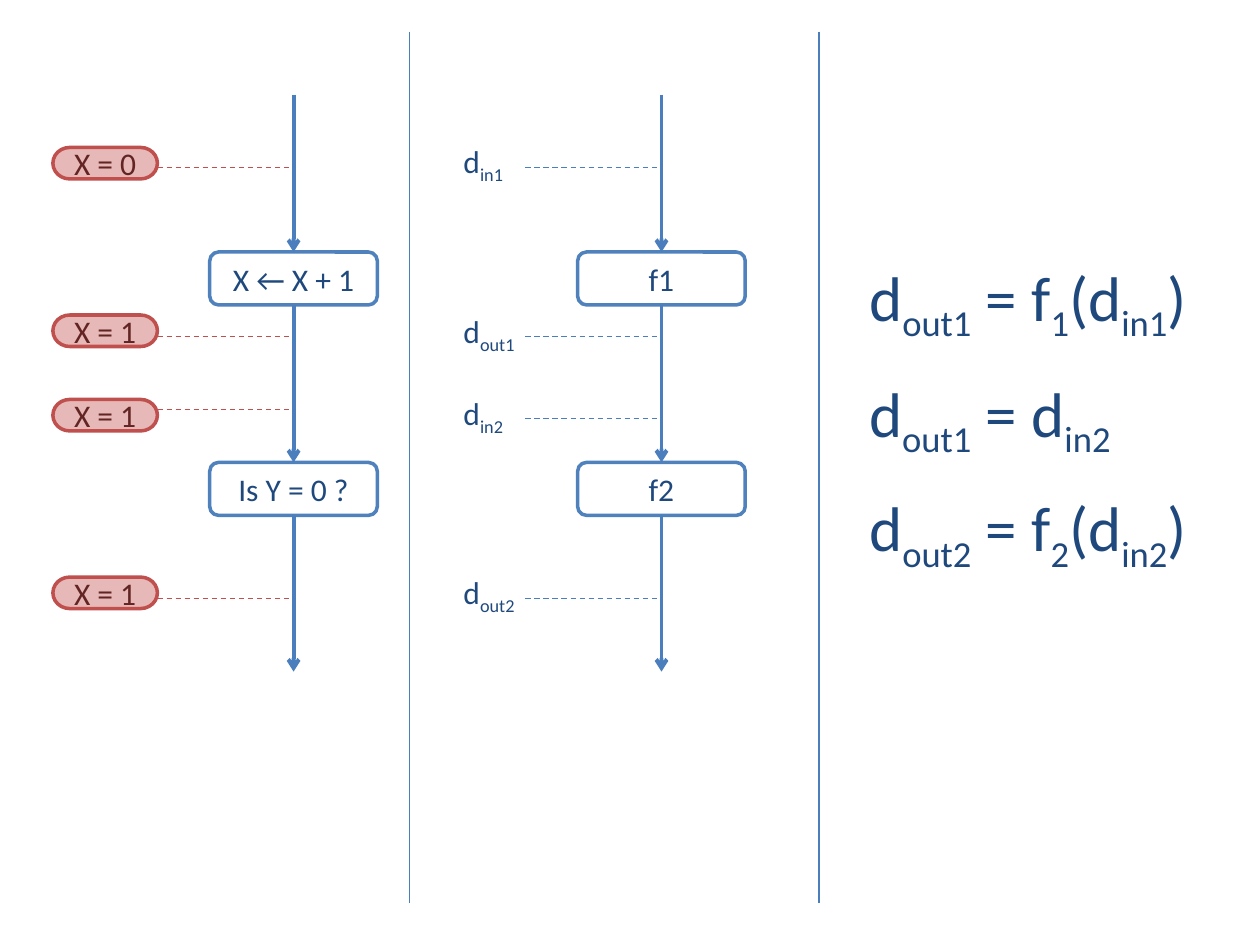
from lxml import etree
from pptx import Presentation
from pptx.dml.color import RGBColor
from pptx.enum import dml, shapes, text
from pptx.oxml.ns import qn
from pptx.util import Inches, Pt

BLUE = RGBColor(0x4B, 0x7E, 0xBC)
EDGE = RGBColor(0x4F, 0x81, 0xBD)
NAVY = RGBColor(0x1F, 0x49, 0x7D)
RED = RGBColor(0xC0, 0x50, 0x4D)
PINK = RGBColor(0xE6, 0xB9, 0xB8)
WINE = RGBColor(0x63, 0x25, 0x23)
KIND = shapes.MSO_SHAPE

deck = Presentation()
deck.slide_width, deck.slide_height = Inches(10), Inches(7.5)
slide = deck.slides.add_slide(deck.slide_layouts[6])


def link(x1, y1, x2, y2, color, width=0.75, dash=False):
    """Draw a straight line without shadow."""
    line = slide.shapes.add_connector(
        shapes.MSO_CONNECTOR.STRAIGHT, *map(Inches, (x1, y1, x2, y2)))
    line.line.color.rgb = color
    line.line.width = Pt(width)
    if dash:
        line.line.dash_style = dml.MSO_LINE.DASH
    etree.SubElement(line._element.spPr, qn("a:effectLst"))
    return line


def write(shape, words, size, color):
    """Fill a shape with text; every second part between bars is subscript."""
    frame = shape.text_frame
    frame.word_wrap = False
    para = frame.paragraphs[0]
    for i, part in enumerate(words.split("|")):
        if not part:
            continue
        run = para.add_run()
        run.text = part
        form = {"name": "Calibri", "size": Pt(size)}
        for key, val in form.items():
            setattr(run.font, key, val)
        run.font.color.rgb = color
        if i % 2:
            run.font._element.set("baseline", "-25000")
    return para


# Column dividers
for x in (3.25, 6.5):
    link(x, 0.25, x, 7.17, BLUE)

# Dashed leads from the states to the flow
for x, color, third in ((1.25, RED, 3.25), (4.17, BLUE, 3.32)):
    for y in (1.33, 2.67, third, 4.75):
        link(x, y, x + 1.08, y, color, dash=True)

# Flow columns: two boxes, with arrows in, between and out
for mid, names in ((2.33, ("X ← X + 1", "Is Y = 0 ?")), (5.25, ("f1", "f2"))):
    boxes = []
    for top, name in zip((2, 3.67), names):
        box = slide.shapes.add_shape(
            KIND.ROUNDED_RECTANGLE, Inches(mid - 0.665), Inches(top),
            Inches(1.33), Inches(0.42))
        box.shadow.inherit = False
        box.fill.background()
        box.line.color.rgb = EDGE
        box.line.width = Pt(2)
        write(box, name, 18, NAVY).alignment = text.PP_ALIGN.CENTER
        boxes.append(box)

    stops = (None, *boxes, None)
    spans = ((0.75, 2), (2.42, 3.67), (4.09, 5.33))
    for (y1, y2), start, end in zip(spans, stops, stops[1:]):
        arrow = link(mid, y1, mid, y2, BLUE, 2.25)
        if start:
            arrow.begin_connect(start, 2)
        if end:
            arrow.end_connect(end, 0)
        etree.SubElement(arrow.line._get_or_add_ln(), qn("a:tailEnd"), type="arrow")

# State pills
for top, name in ((1.17, "X = 0"), (2.5, "X = 1"), (3.17, "X = 1"), (4.58, "X = 1")):
    pill = slide.shapes.add_shape(
        KIND.FLOWCHART_TERMINATOR, Inches(0.42), Inches(top),
        Inches(0.83), Inches(0.25))
    pill.shadow.inherit = False
    pill.fill.solid()
    pill.fill.fore_color.rgb = PINK
    pill.line.color.rgb = RED
    pill.line.width = Pt(2)
    write(pill, name, 18, WINE).alignment = text.PP_ALIGN.CENTER

# Data labels and equations
notes = (
    (3.58, 1.08, 0.55, 18, "d|in1|"),
    (3.58, 2.43, 0.65, 18, "d|out1|"),
    (3.58, 3.08, 0.55, 18, "d|in2|"),
    (3.58, 4.5, 0.65, 18, "d|out2|"),
    (6.8, 2, 2.99, 36, "d|out1| = f|1|(d|in1|)"),
    (6.8, 2.92, 2.27, 36, "d|out1| = d|in2|"),
    (6.8, 3.83, 2.99, 36, "d|out2| = f|2|(d|in2|)"),
)
for x, y, wide, size, words in notes:
    tall = 0.4 if size == 18 else 0.71
    note = slide.shapes.add_textbox(*map(Inches, (x, y, wide, tall)))
    write(note, words, size, NAVY)
    note.text_frame.auto_size = text.MSO_AUTO_SIZE.SHAPE_TO_FIT_TEXT

deck.save("out.pptx")
